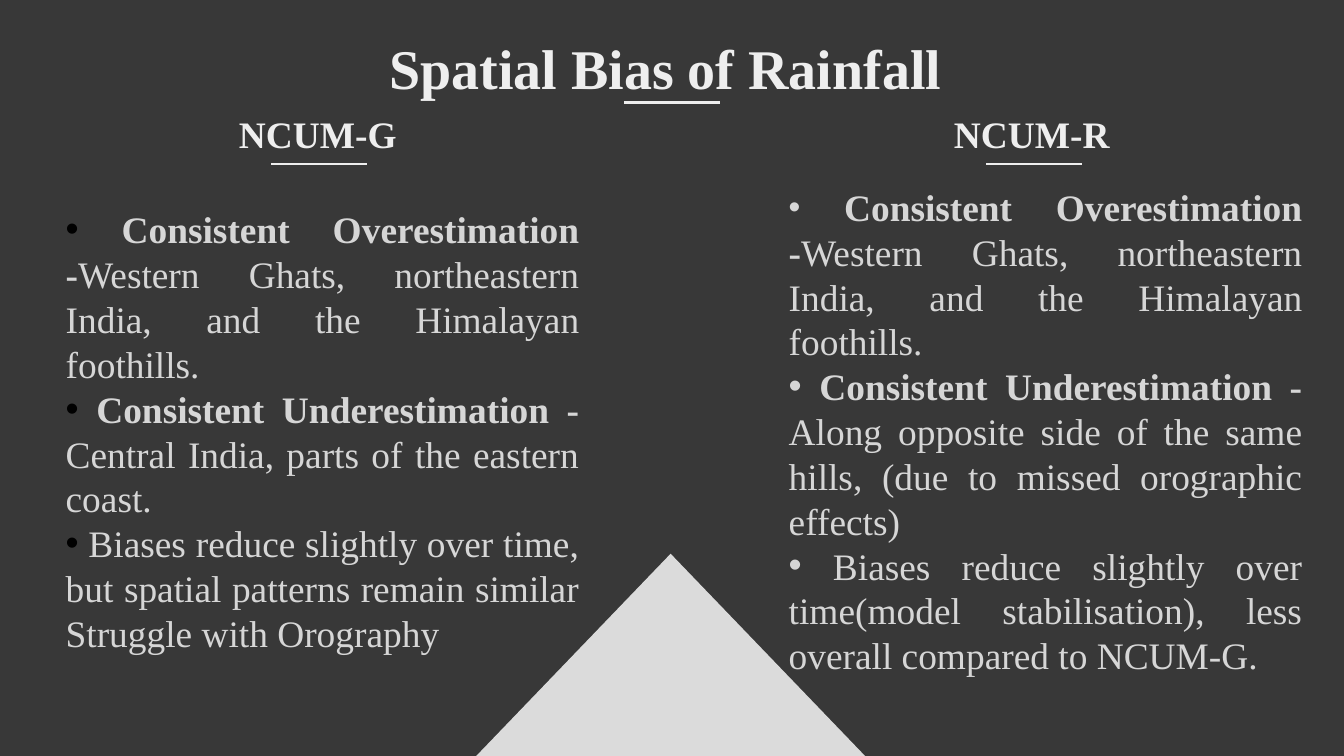
from lxml import etree
from pptx import Presentation
from pptx.dml.color import RGBColor
from pptx.enum.shapes import MSO_CONNECTOR, MSO_SHAPE
from pptx.enum.text import MSO_ANCHOR, PP_ALIGN
from pptx.oxml.ns import qn
from pptx.util import Inches, Pt

LEFT, MID, JUST = PP_ALIGN.LEFT, PP_ALIGN.CENTER, PP_ALIGN.JUSTIFY
TOP, CENTER = MSO_ANCHOR.TOP, MSO_ANCHOR.MIDDLE
WIDE = 10
HIGH = WIDE * 9 / 16
HEAD_W, BAR_W, BODY_W = 1.47, 0.71, 4.02
SERIF, SANS = "Times New Roman", "Arial"
COLORS = {"back": "383838", "peak": "DBDBDB", "head": "EEEEEE",
          "body": "D6D6D6", "dark": "000000"}

TITLE = "Spatial Bias of Rainfall "
OVER = "Consistent Overestimation -"
UNDER = "Consistent Underestimation - "
WHERE = "Western Ghats, northeastern India, and the Himalayan foothills. "

# Each run is (text, bold) or (text, bold, size, font).
MODELS = [
    {"name": "NCUM-G", "head": 1.68, "body": (0.39, 1.47, 3.77),
     "dot": "dark", "foot": 0.35,
     "points": [
         [(" " + OVER, True), (WHERE, False)],
         [(" ", False), (UNDER, True),
          ("Central India, parts of the eastern coast.", False)],
         [(" Biases reduce slightly over time, but spatial patterns remain "
           "similar Struggle with Orography", False)]]},
    {"name": "NCUM-R", "head": 7, "body": (5.77, 1.3, 3.8),
     "dot": "body", "foot": 0.04,
     "points": [
         [(" ", True, 18, SANS), (OVER, True), (WHERE, False)],
         [(" ", False), (UNDER, True),
          ("Along opposite side of the same hills, "
           "(due to missed orographic effects)", False)],
         [(" Biases reduce slightly over time(model stabilisation), "
           "less overall compared to NCUM-G.", False)]]},
]


def rgb(key):
    return RGBColor.from_string(COLORS[key])


def add_box(slide, x, y, w, h, top, foot, anchor):
    box = slide.shapes.add_textbox(*map(Inches, (x, y, w, h)))
    frame = box.text_frame
    frame.word_wrap = True
    frame.margin_top, frame.margin_bottom = Inches(top), Inches(foot)
    frame.vertical_anchor = anchor
    return frame


def add_run(para, color, text, bold, size=20, face=SERIF):
    run = para.add_run()
    run.text = text
    font = run.font
    font.name, font.size, font.bold = face, Pt(size), bold
    font.color.rgb = rgb(color)


def add_dot(para, color):
    """Give the paragraph a round bullet in its own colour."""
    props = para._p.get_or_add_pPr()
    tint = etree.SubElement(props, qn("a:buClr"))
    etree.SubElement(tint, qn("a:srgbClr"), val=COLORS[color])
    etree.SubElement(props, qn("a:buFont"), typeface=SANS)
    etree.SubElement(props, qn("a:buChar"), char="•")


def add_head(slide, text, x, y, w, size, align):
    frame = add_box(slide, x, y, w, 0.58, 0.1, 0.1, TOP)
    para = frame.paragraphs[0]
    para.alignment = align
    add_run(para, "head", text, True, size)


def add_bar(slide, mid, y):
    """Draw a short rule centred on mid."""
    ends = (mid - BAR_W / 2, y, mid + BAR_W / 2, y)
    bar = slide.shapes.add_connector(MSO_CONNECTOR.STRAIGHT, *map(Inches, ends))
    bar.line.color.rgb = rgb("head")
    bar.line.width = Pt(1.5)
    etree.SubElement(bar._element.spPr, qn("a:effectLst"))


def add_body(slide, model):
    x, y, h = model["body"]
    frame = add_box(slide, x, y, BODY_W, h, 0.05, model["foot"], CENTER)
    for i, runs in enumerate(model["points"]):
        para = frame.add_paragraph() if i else frame.paragraphs[0]
        para.alignment = JUST
        para.line_spacing = Pt(24)
        add_dot(para, model["dot"])
        for run in runs:
            add_run(para, "body", *run)


def main():
    deck = Presentation()
    deck.slide_width, deck.slide_height = Inches(WIDE), Inches(HIGH)
    slide = deck.slides.add_slide(deck.slide_layouts[6])
    slide.background.fill.solid()
    slide.background.fill.fore_color.rgb = rgb("back")

    peak = slide.shapes.add_shape(MSO_SHAPE.ISOSCELES_TRIANGLE,
                                  *map(Inches, (3.5, 4.12, 2.98, 1.55)))
    peak.shadow.inherit = False
    peak.fill.solid()
    peak.fill.fore_color.rgb = rgb("peak")
    peak.line.fill.background()

    for model in MODELS:
        add_body(slide, model)
        add_head(slide, model["name"], model["head"], 0.73, HEAD_W, 20, LEFT)
        add_bar(slide, model["head"] + HEAD_W / 2 - 0.04, 1.22)
    add_head(slide, TITLE, 1.93, 0.15, 6.15, 30, MID)
    add_bar(slide, WIDE / 2, 0.76)
    deck.save("out.pptx")


if __name__ == "__main__":
    main()
